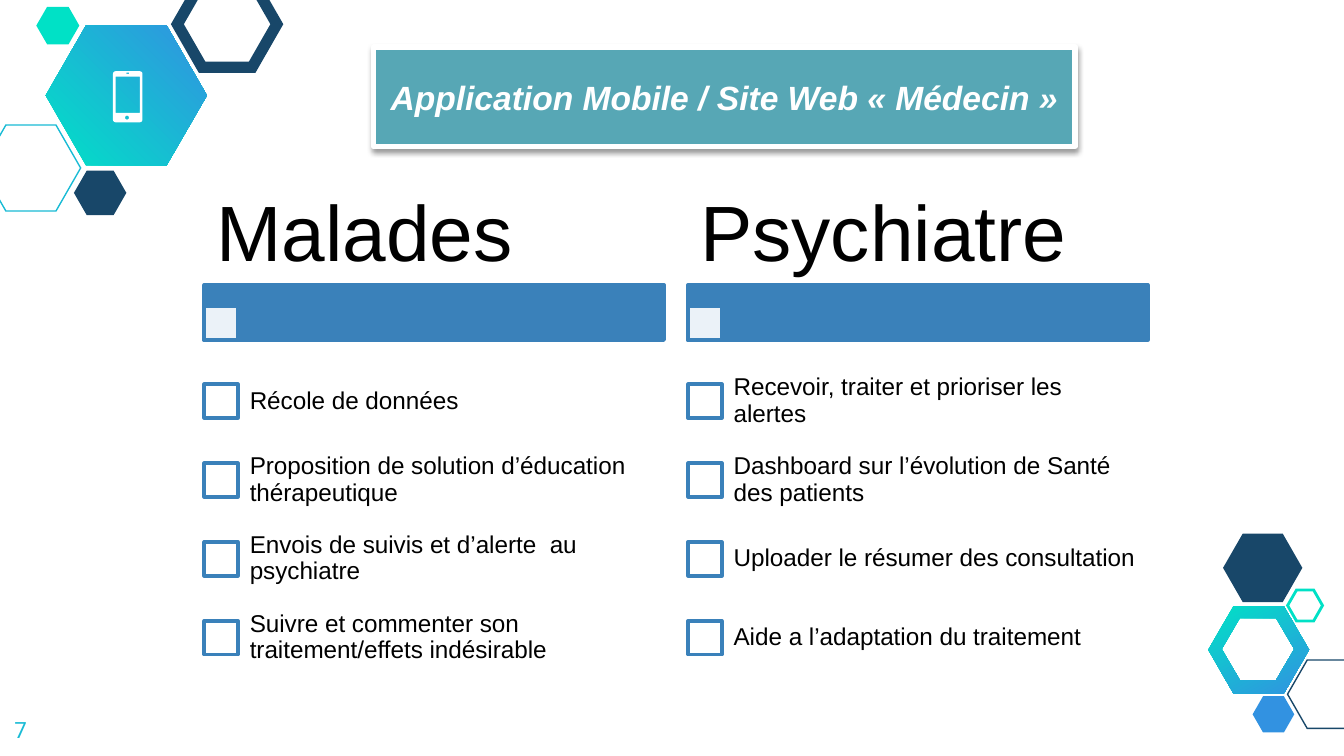
import math
from dataclasses import dataclass
from typing import Optional

import lxml.etree
import pptx
import pptx.dml.color
import pptx.enum.shapes
import pptx.enum.text
import pptx.oxml
import pptx.oxml.ns
import pptx.util

Inches = pptx.util.Inches
RGBColor = pptx.dml.color.RGBColor
Shapes = pptx.enum.shapes.MSO_SHAPE
Anchor = pptx.enum.text.MSO_ANCHOR

NAVY = RGBColor(0x18, 0x47, 0x69)
CYAN = RGBColor(0x19, 0xBB, 0xD5)
MINT = RGBColor(0x00, 0xE1, 0xC6)
SKY = RGBColor(0x32, 0x92, 0xE1)
BLUE = RGBColor(0x3A, 0x81, 0xBA)
TEAL = RGBColor(0x57, 0xA7, 0xB5)
WHITE = RGBColor(0xFF, 0xFF, 0xFF)
BLACK = RGBColor(0x00, 0x00, 0x00)

COLUMN_WIDTH = 3.42
BOX_SIZE = 0.25
FIRST_ROW = 2.86
ROW_STEP = 1.76 / 3


@dataclass
class Hexagon:
    left: float
    top: float
    width: float
    height: float
    color: RGBColor
    line_width: Optional[float] = None


@dataclass
class Column:
    left: float
    heading: str
    items: list[str]


HEXAGONS = [
    Hexagon(-0.14, 0.93, 0.74, 0.64, CYAN, 0.75),
    Hexagon(0.55, 1.27, 0.39, 0.33, NAVY),
    Hexagon(1.32, -0.14, 0.74, 0.64, NAVY, 6),
    Hexagon(0.27, 0.05, 0.32, 0.28, MINT),
    Hexagon(9.58, 4.91, 0.59, 0.51, NAVY, 0.75),
    Hexagon(9.32, 5.18, 0.31, 0.27, SKY),
    Hexagon(9.1, 3.97, 0.59, 0.51, NAVY),
    Hexagon(9.58, 4.39, 0.26, 0.23, MINT, 1.5),
]

COLUMNS = [
    Column(1.52, "Malades", [
        "Récole de données",
        "Proposition de solution d’éducation thérapeutique",
        "Envois de suivis et d’alerte  au psychiatre",
        "Suivre et commenter son traitement/effets indésirable",
    ]),
    Column(5.12, "Psychiatre", [
        "Recevoir, traiter et prioriser les alertes",
        "Dashboard sur l’évolution de Santé des patients",
        "Uploader le résumer des consultation",
        "Aide a l’adaptation du traitement",
    ]),
]


def add_shape(shapes, kind, left: float, top: float, width: float, height: float,
              fill: Optional[RGBColor], line: Optional[RGBColor] = None, line_width: float = 2):
    shape = shapes.add_shape(kind, Inches(left), Inches(top), Inches(width), Inches(height))
    shape.shadow.inherit = False
    if fill is None:
        shape.fill.background()
    else:
        shape.fill.solid()
        shape.fill.fore_color.rgb = fill
    if line is None:
        shape.line.fill.background()
    else:
        shape.line.color.rgb = line
        shape.line.width = pptx.util.Pt(line_width)
    return shape


def add_hexagon(shapes, hexagon: Hexagon) -> None:
    filled = hexagon.line_width is None
    shape = add_shape(shapes, Shapes.HEXAGON, hexagon.left, hexagon.top, hexagon.width, hexagon.height,
                      hexagon.color if filled else None,
                      None if filled else hexagon.color, hexagon.line_width or 0)
    shape.adjustments[0] = 0.287
    shape.rotation = 180
    if not filled:
        outline = shape._element.spPr.find(pptx.oxml.ns.qn("a:ln"))
        lxml.etree.SubElement(outline, pptx.oxml.ns.qn("a:miter")).set("lim", "800000")


def add_outline(shapes, contours: list[list[tuple[float, float]]]):
    scaled = [[(Inches(x), Inches(y)) for x, y in contour] for contour in contours]
    builder = shapes.build_freeform(*scaled[0][0])
    builder.add_line_segments(scaled[0][1:], close=True)
    for contour in scaled[1:]:
        builder.move_to(*contour[0])
        builder.add_line_segments(contour[1:], close=True)
    shape = builder.convert_to_shape()
    shape.shadow.inherit = False
    shape.line.fill.background()
    return shape


def set_gradient(shape, angle: float) -> None:
    shape.fill.gradient()
    shape.fill.gradient_angle = angle
    for stop, color in zip(shape.fill.gradient_stops, (MINT, SKY)):
        stop.color.rgb = color


def hexagon_points(left: float, top: float, width: float, height: float) -> list[tuple[float, float]]:
    right, bottom, middle, slant = left + width, top + height, top + height / 2, width / 4
    return [(left, middle), (left + slant, top), (right - slant, top),
            (right, middle), (right - slant, bottom), (left + slant, bottom)]


def rounded_points(left: float, top: float, right: float, bottom: float,
                   radius: float) -> list[tuple[float, float]]:
    corners = [(right - radius, bottom - radius), (left + radius, bottom - radius),
               (left + radius, top + radius), (right - radius, top + radius)]
    return [(x + radius * math.cos(math.radians(90 * index + step)),
             y + radius * math.sin(math.radians(90 * index + step)))
            for index, (x, y) in enumerate(corners) for step in (0, 30, 60, 90)]


def format_text(shape, text: str, size: float, color: RGBColor, font: str = "Arial"):
    frame = shape.text_frame
    frame.word_wrap = True
    frame.text = text
    run_font = frame.paragraphs[0].runs[0].font
    run_font.name = font
    run_font.size = pptx.util.Pt(size)
    run_font.color.rgb = color
    return run_font


def add_text(shapes, left: float, top: float, width: float, height: float, text: str, size: float,
             color: RGBColor = BLACK, font: str = "Arial", anchor=Anchor.MIDDLE,
             spacing: Optional[float] = 0.9, insets: tuple[float, float] = (0.1, 0.1)) -> None:
    box = shapes.add_textbox(Inches(left), Inches(top), Inches(width), Inches(height))
    format_text(box, text, size, color, font)
    frame = box.text_frame
    frame.vertical_anchor = anchor
    frame.margin_left = frame.margin_right = Inches(insets[0])
    frame.margin_top = frame.margin_bottom = Inches(insets[1])
    frame.paragraphs[0].line_spacing = spacing


def add_checkbox(shapes, left: float, top: float):
    return add_shape(shapes, Shapes.RECTANGLE, left, top, BOX_SIZE, BOX_SIZE, WHITE, BLUE)


def add_column(shapes, column: Column) -> None:
    add_shape(shapes, Shapes.RECTANGLE, column.left, 2.12, COLUMN_WIDTH, 0.41, BLUE, BLUE)
    bar_box = add_checkbox(shapes, column.left, 2.28)
    color = bar_box.fill._xPr.find(".//" + pptx.oxml.ns.qn("a:srgbClr"))
    lxml.etree.SubElement(color, pptx.oxml.ns.qn("a:alpha")).set("val", "90000")
    add_text(shapes, column.left, 1.4, COLUMN_WIDTH, 0.72, column.heading, 42, insets=(0.09, 0.06))
    for index, item in enumerate(column.items):
        top = FIRST_ROW + index * ROW_STEP
        add_checkbox(shapes, column.left, top)
        add_text(shapes, column.left + 0.24, top - 0.17, 3.18, 0.59, item, 13)


def add_title(shapes) -> None:
    title = add_shape(shapes, Shapes.RECTANGLE, 2.78, 0.35, 5.22, 0.74, TEAL, WHITE, 3)
    font = format_text(title, "Application Mobile / Site Web «\u00a0Médecin\u00a0»", 18, WHITE)
    font.bold = font.italic = True
    title.text_frame.vertical_anchor = Anchor.MIDDLE
    title.text_frame.paragraphs[0].alignment = pptx.enum.text.PP_ALIGN.CENTER
    effects = title._element.spPr.find(pptx.oxml.ns.qn("a:effectLst"))
    effects.append(pptx.oxml.parse_xml(
        f'<a:outerShdw {pptx.oxml.ns.nsdecls("a")} blurRad="39370" dist="20320" dir="5400000" '
        'rotWithShape="0"><a:srgbClr val="000000"><a:alpha val="38000"/></a:srgbClr></a:outerShdw>'))


presentation = pptx.Presentation()
presentation.slide_width = Inches(10)
presentation.slide_height = Inches(10) * 9 // 16
slide = presentation.slides.add_slide(presentation.slide_layouts[6])

ring = add_outline(slide.shapes, [hexagon_points(8.99, 4.51, 0.75, 0.65),
                                  hexagon_points(9.09, 4.6, 0.54, 0.46)[::-1]])
set_gradient(ring, 300)
set_gradient(add_outline(slide.shapes, [hexagon_points(0.34, 0.19, 1.2, 1.04)]), 45)
for hexagon in HEXAGONS:
    add_hexagon(slide.shapes, hexagon)

phone = add_outline(slide.shapes, [rounded_points(0.84, 0.53, 1.06, 0.91, 0.02),
                                   [(0.86, 0.57), (0.86, 0.84), (1.04, 0.84), (1.04, 0.57)],
                                   rounded_points(0.93, 0.86, 0.96, 0.89, 0.015)[::-1],
                                   [(0.94, 0.54), (0.94, 0.55), (0.96, 0.55), (0.96, 0.54)]])
phone.fill.solid()
phone.fill.fore_color.rgb = WHITE

add_text(slide.shapes, 0.01, 5.23, 0.6, 0.39, "7", 12, CYAN, "Roboto", Anchor.TOP, None)
group = slide.shapes.add_group_shape()
for column in COLUMNS:
    add_column(group.shapes, column)
add_title(slide.shapes)

presentation.save("out.pptx")
